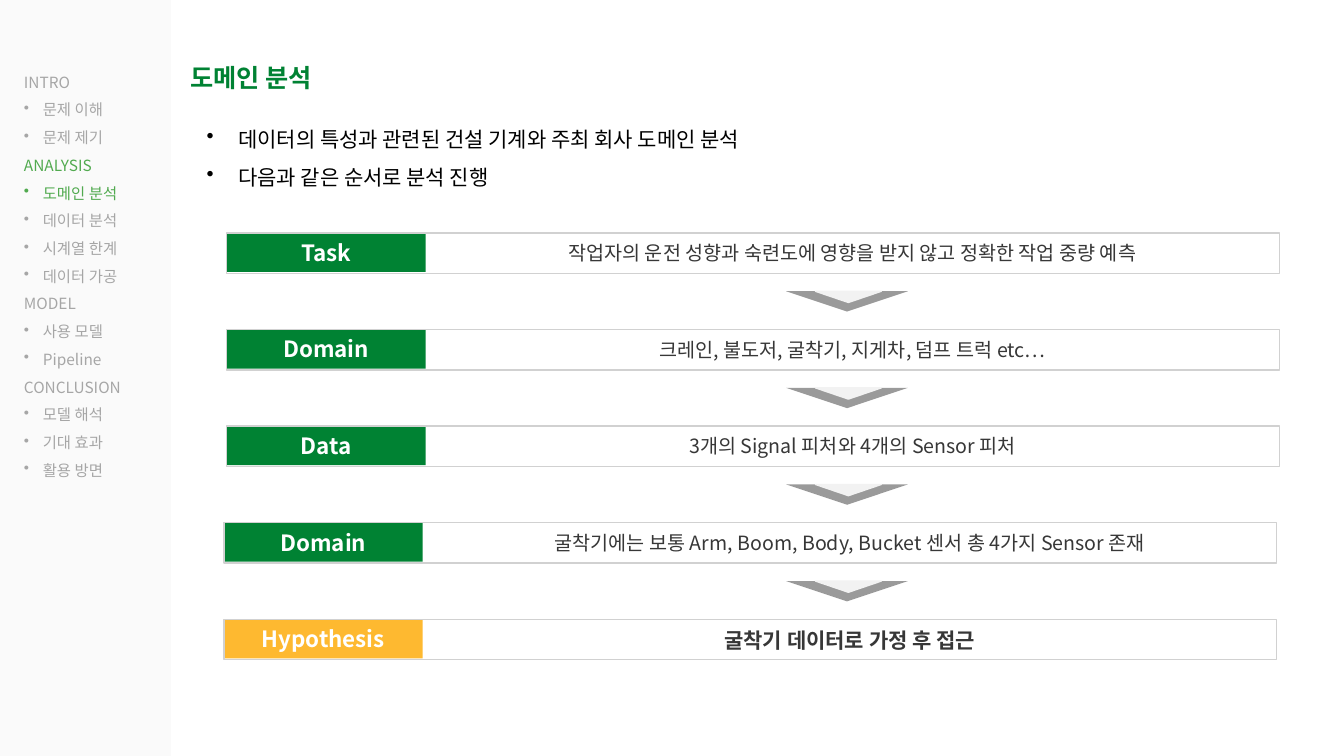
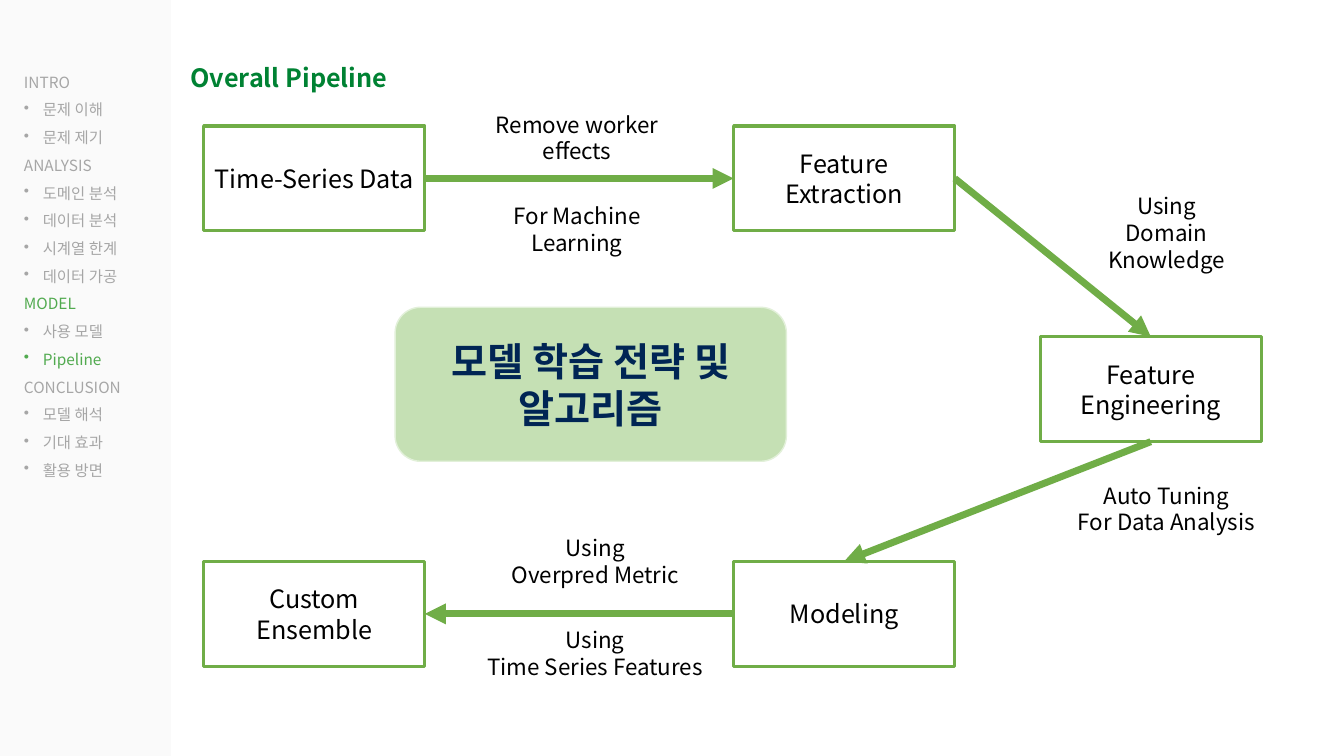
from lxml import etree
from pptx import Presentation
from pptx.dml.color import RGBColor
from pptx.enum.shapes import MSO_CONNECTOR, MSO_SHAPE
from pptx.enum.text import MSO_ANCHOR, PP_ALIGN
from pptx.oxml.ns import qn
from pptx.util import Pt

RECTANGLE = MSO_SHAPE.RECTANGLE
ROUNDED = MSO_SHAPE.ROUNDED_RECTANGLE
TRIANGLE = MSO_SHAPE.ISOSCELES_TRIANGLE
STRAIGHT = MSO_CONNECTOR.STRAIGHT
LEFT, CENTER = PP_ALIGN.LEFT, PP_ALIGN.CENTER
MIDDLE = MSO_ANCHOR.MIDDLE
# Connection sites of a rectangle
TOP_SITE, LEFT_SITE, BOTTOM_SITE, RIGHT_SITE = range(4)

FONT = "Noto Sans CJK KR"
COLORS = {
    "black": "000000",
    "white": "FFFFFF",
    "sidebar": "FAFAFA",
    "menu": "A6A6A6",
    "menu_active": "51AA4F",
    "green": "008233",
    "amber": "FEB930",
    "body": "373737",
    "frame": "D1D1D1",
    "chevron": "9A9A9A",
    "chevron_inner": "F2F2F2",
    "flow": "70AD47",
    "theme_fill": "C5E0B4",
    "theme_line": "E2F0D9",
    "navy": "002554",
}

MENU = {
    "INTRO": ["문제 이해", "문제 제기"],
    "ANALYSIS": ["도메인 분석", "데이터 분석", "시계열 한계", "데이터 가공"],
    "MODEL": ["사용 모델", "Pipeline"],
    "CONCLUSION": ["모델 해석", "기대 효과", "활용 방면"],
}

# Left edge, label, text
STEPS = [
    (162, "Task", "작업자의 운전 성향과 숙련도에 영향을 받지 않고 정확한 작업 중량 예측"),
    (162, "Domain", "크레인, 불도저, 굴착기, 지게차, 덤프 트럭 etc…"),
    (162, "Data", "3개의 Signal 피처와 4개의 Sensor 피처"),
    (160, "Domain", "굴착기에는 보통 Arm, Boom, Body, Bucket 센서 총 4가지 Sensor 존재"),
    (160, "Hypothesis", "굴착기 데이터로 가정 후 접근"),
]
STEP_TOP, STEP_PITCH = 166.3, 69
LABEL_WIDTH, FRAME_WIDTH = 142, 752

NODE_WIDTH, NODE_HEIGHT = 158, 75
NODES = {
    "Time-Series Data": (145.5, 90),
    "Feature Extraction": (524, 90),
    "Feature Engineering": (743, 240.5),
    "Modeling": (524, 401),
    "Custom Ensemble": (145.5, 401),
}
# From, site, to, site
ARROWS = [
    ("Time-Series Data", RIGHT_SITE, "Feature Extraction", LEFT_SITE),
    ("Feature Extraction", RIGHT_SITE, "Feature Engineering", TOP_SITE),
    ("Feature Engineering", BOTTOM_SITE, "Modeling", TOP_SITE),
    ("Modeling", LEFT_SITE, "Custom Ensemble", RIGHT_SITE),
]
# Left, top, width, lines
ARROW_NOTES = [
    (333.5, 75.5, 157.5, ["Remove worker effects"]),
    (333.5, 141, 157.5, ["For Machine Learning"]),
    (754.5, 134, 157.5, ["Using", "Domain Knowledge"]),
    (754.5, 340.5, 157.5, ["Auto Tuning", "For Data Analysis"]),
    (346.5, 378, 157.5, ["Using", "Overpred Metric"]),
    (336, 443.5, 178, ["Using", "Time Series Features"]),
]


def rgb(name):
    return RGBColor.from_string(COLORS[name])


# Text
def add_bullet(para, indent):
    properties = para._p.get_or_add_pPr()
    properties.set("marL", str(Pt(indent)))
    properties.set("indent", str(-Pt(indent)))
    etree.SubElement(properties, qn("a:buChar"), char="•")


def style(para, size, color, bold=False, align=LEFT, spacing=None, indent=0):
    if spacing:
        para.line_spacing = spacing
    para.alignment = align
    if indent:
        add_bullet(para, indent)
    font = para.font
    font.size = Pt(size)
    font.bold = bold
    font.color.rgb = rgb(color)
    font.name = FONT
    # Korean glyphs use the East Asian typeface
    defaults = para._p.pPr.find(qn("a:defRPr"))
    etree.SubElement(defaults, qn("a:ea"), typeface=FONT)


def add_line_of_text(frame, number, text, **look):
    para = frame.add_paragraph() if number else frame.paragraphs[0]
    para.text = text
    style(para, **look)


def write(frame, lines, **look):
    frame.word_wrap = True
    for number, text in enumerate(lines):
        add_line_of_text(frame, number, text, **look)


def add_text(page, left, top, width, height, lines, **look):
    box = page.shapes.add_textbox(Pt(left), Pt(top), Pt(width), Pt(height))
    write(box.text_frame, lines, **look)


# Shapes
def add_box(page, kind, left, top, width, height, fill=None, line=None,
            line_width=1, lines=(), **look):
    box = page.shapes.add_shape(kind, Pt(left), Pt(top), Pt(width), Pt(height))
    box.shadow.inherit = False
    if fill:
        box.fill.solid()
        box.fill.fore_color.rgb = rgb(fill)
    else:
        box.fill.background()
    if line:
        box.line.color.rgb = rgb(line)
        box.line.width = Pt(line_width)
    else:
        box.line.fill.background()
    if lines:
        box.text_frame.vertical_anchor = MIDDLE
        write(box.text_frame, lines, align=CENTER, **look)
    return box


def add_arrow(page, start, start_site, end, end_site):
    arrow = page.shapes.add_connector(STRAIGHT, 0, 0, 0, 0)
    arrow.begin_connect(start, start_site)
    arrow.end_connect(end, end_site)
    arrow.line.color.rgb = rgb("flow")
    arrow.line.width = Pt(5)
    etree.SubElement(arrow.line._get_or_add_ln(), qn("a:tailEnd"), type="triangle")
    etree.SubElement(arrow._element.spPr, qn("a:effectLst"))


def add_chevron(page, top):
    outer = add_box(page, TRIANGLE, 561.5, top, 87, 14.5, "chevron")
    inner = add_box(page, TRIANGLE, 582.5, top, 47, 8,
                    "chevron_inner", "chevron_inner")
    outer.rotation = inner.rotation = 180


# Parts shared by the slides
def add_menu(page, active):
    box = page.shapes.add_textbox(Pt(10), Pt(41.75), Pt(124.5), Pt(325))
    frame = box.text_frame
    frame.word_wrap = True
    entries = []
    for section, topics in MENU.items():
        entries.append((section, 0, active in topics))
        entries += [(topic, 13.5, topic == active) for topic in topics]
    for number, (text, indent, is_active) in enumerate(entries):
        add_line_of_text(frame, number, text, size=11, spacing=1.5, indent=indent,
                         color="menu_active" if is_active else "menu")


def add_page(deck, title, active):
    page = deck.slides.add_slide(deck.slide_layouts[6])
    add_box(page, RECTANGLE, 0, 0, 121.5, 540, "sidebar", "sidebar")
    add_menu(page, active)
    add_text(page, 129, 30.25, 480, 36, [title],
             size=18, color="green", bold=True, spacing=1.5)
    return page


# Slide contents
def add_step(page, left, top, label, text, is_result):
    add_text(page, left + LABEL_WIDTH, top + 2.2, FRAME_WIDTH - LABEL_WIDTH, 24.5,
             [text], size=15 if is_result else 14, color="body",
             bold=is_result, align=CENTER)
    add_box(page, RECTANGLE, left, top, LABEL_WIDTH, 28,
            "amber" if is_result else "green",
            lines=[label], size=16, color="white", bold=True)
    add_box(page, RECTANGLE, left, top, FRAME_WIDTH, 29, line="frame")


def add_domain_page(deck):
    page = add_page(deck, "도메인 분석", "도메인 분석")
    add_text(page, 140.5, 77.75, 752, 58,
             ["데이터의 특성과 관련된 건설 기계와 주최 회사 도메인 분석",
              "다음과 같은 순서로 분석 진행"],
             size=15, color="black", spacing=1.5, indent=22.5)
    last = len(STEPS) - 1
    for number, (left, label, text) in enumerate(STEPS):
        top = STEP_TOP + number * STEP_PITCH
        add_step(page, left, top, label, text, number == last)
        if number < last:
            add_chevron(page, top + 41.75)


def add_pipeline_page(deck):
    page = add_page(deck, "Overall Pipeline", "Pipeline")
    add_box(page, ROUNDED, 282.25, 219.5, 279.5, 110, "theme_fill", "theme_line",
            lines=["모델 학습 전략 및", "알고리즘"],
            size=28, color="navy", bold=True)
    nodes = {
        name: add_box(page, RECTANGLE, left, top, NODE_WIDTH, NODE_HEIGHT,
                      "white", "flow", 2.25, [name], size=18, color="black")
        for name, (left, top) in NODES.items()
    }
    for start, start_site, end, end_site in ARROWS:
        add_arrow(page, nodes[start], start_site, nodes[end], end_site)
    for left, top, width, lines in ARROW_NOTES:
        add_text(page, left, top, width, 46, lines,
                 size=16, color="black", align=CENTER)


def main():
    deck = Presentation()
    deck.slide_width, deck.slide_height = Pt(960), Pt(540)
    add_domain_page(deck)
    add_pipeline_page(deck)
    deck.save("out.pptx")


if __name__ == "__main__":
    main()
